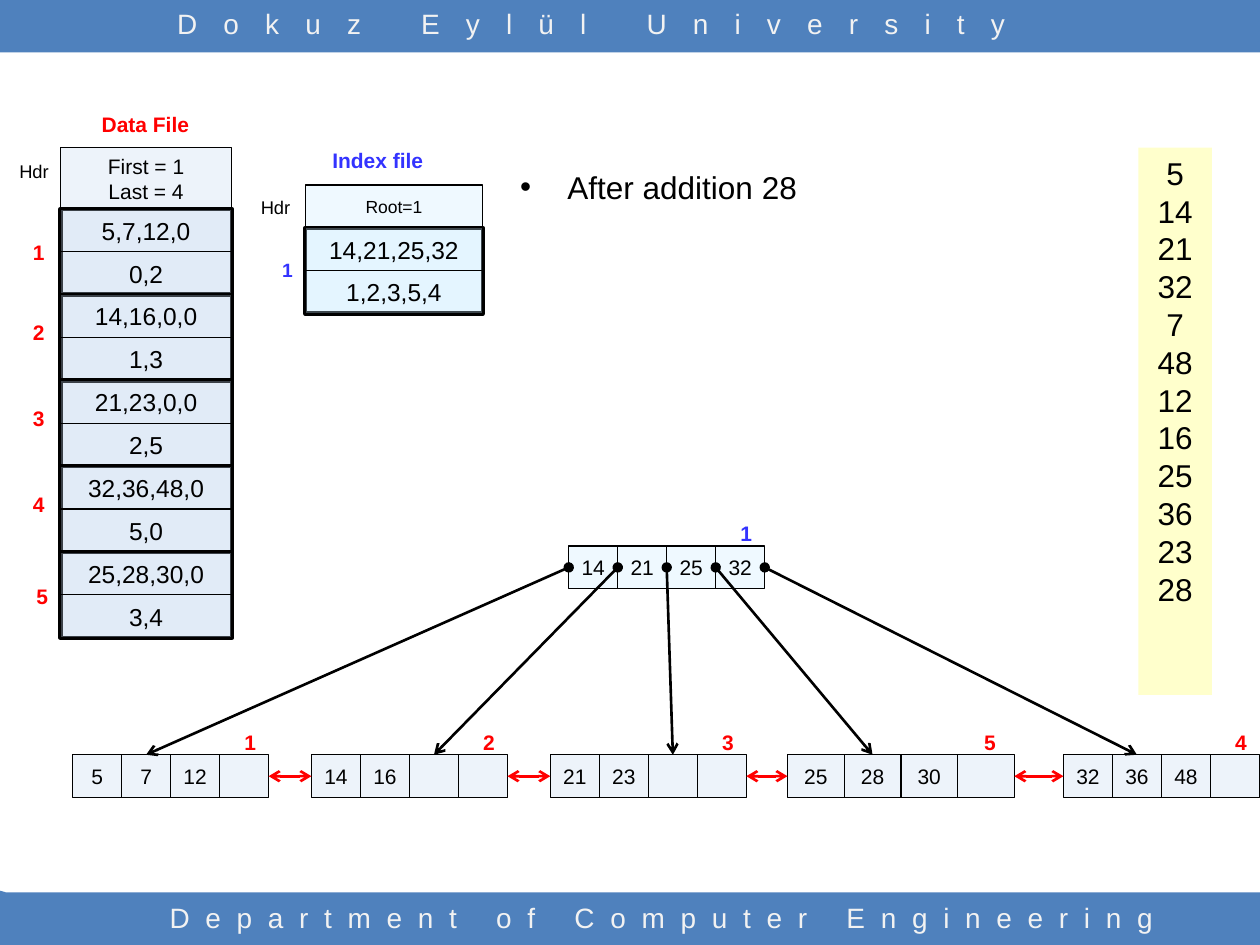
from lxml.etree import SubElement
from pptx import Presentation
from pptx.dml.color import RGBColor
from pptx.enum.shapes import MSO_CONNECTOR, MSO_SHAPE
from pptx.enum.text import MSO_ANCHOR, PP_ALIGN
from pptx.oxml.ns import qn
from pptx.util import Pt

FONT = "Arial"
BAR, DATA, INDEX, INSERTED = "4F81BD", "C6D9F1", "CCECFF", "FFFFCC"
BLACK, RED, BLUE, PALE = "000000", "FF0000", "3333FF", "F2F2F2"
LEFT, CENTER, RIGHT = PP_ALIGN.LEFT, PP_ALIGN.CENTER, PP_ALIGN.RIGHT
SLIDE_W, SLIDE_H = 720, 540
ROW_H = 24.5
DATA_W = 98


def rgb(color):
    return RGBColor.from_string(color)


def write(frame, lines, size, color=BLACK, align=CENTER, bold=False, spacing=0):
    frame.word_wrap = True
    for number, line in enumerate(lines):
        par = frame.add_paragraph() if number else frame.paragraphs[0]
        par.alignment = align
        par.font.name = FONT
        par.font.size = Pt(size)
        par.font.bold = bold
        par.font.color.rgb = rgb(color)
        run = par.add_run()
        run.text = line
        if spacing:
            run._r.get_or_add_rPr().set("spc", str(spacing * 100))


def add_label(slide, box, text, size, color=BLACK, align=LEFT, bold=False, spacing=0):
    label = slide.shapes.add_textbox(*map(Pt, box))
    write(label.text_frame, [text], size, color, align, bold, spacing)


def paint(shape, fill, line_width=0, alpha=100):
    shape.shadow.inherit = False
    shape.fill.solid()
    shape.fill.fore_color.rgb = rgb(fill)
    if alpha < 100:
        tint = shape.fill._xPr.find(qn("a:solidFill"))[0]
        SubElement(tint, qn("a:alpha")).set("val", str(alpha * 1000))
    if line_width:
        shape.line.color.rgb = rgb(BLACK)
        shape.line.width = Pt(line_width)
    else:
        shape.line.fill.background()


def add_box(slide, box, fill, line_width=0, alpha=100):
    rect = slide.shapes.add_shape(MSO_SHAPE.RECTANGLE, *map(Pt, box))
    paint(rect, fill, line_width, alpha)
    return rect


def add_cell(slide, box, lines, fill, size):
    cell = add_box(slide, box, fill, 0.75, 30)
    frame = cell.text_frame
    frame.margin_left = frame.margin_right = 0
    frame.vertical_anchor = MSO_ANCHOR.MIDDLE
    write(frame, lines, size)


def add_arrow(slide, start, end, color, head):
    arrow = slide.shapes.add_connector(MSO_CONNECTOR.STRAIGHT, *map(Pt, start + end))
    arrow.line.color.rgb = rgb(color)
    arrow.line.width = Pt(1.5)
    line = arrow.line._get_or_add_ln()
    SubElement(line, qn("a:headEnd")).set("type", head)
    SubElement(line, qn("a:tailEnd")).set("type", "arrow")
    SubElement(arrow._element.spPr, qn("a:effectLst"))


def add_bars(slide, height):
    """Header and footer bands with their corner pieces and spaced titles."""
    foot = SLIDE_H - height
    for top in (0, foot):
        add_box(slide, (0, top, SLIDE_W, height), BAR)
    corners = [
        [(63.4, 510.5), (66.2, 510.5), (66.2, SLIDE_H), (33.8, SLIDE_H)],
        [(2.9, 509.8), (33.1, SLIDE_H), (0, SLIDE_H), (0, 509)],
    ]
    for first, *others in corners:
        outline = slide.shapes.build_freeform(*map(Pt, first), scale=1.0)
        outline.add_line_segments([tuple(map(Pt, point)) for point in others])
        paint(outline.convert_to_shape(), BAR)
    add_label(slide, (66.2, 511.2, 624.2, 28.8), "Department of Computer Engineering",
              16, PALE, CENTER, spacing=9)
    add_label(slide, (46.8, 0, 582.5, height), "Dokuz Eylül University",
              16, PALE, CENTER, spacing=15)


def add_block(slide, left, top, width, rows, fill):
    """A heavy frame around two rows of a file."""
    add_box(slide, (left, top, width, 2 * ROW_H), fill, 2.5, 30)
    for number, row in enumerate(rows):
        add_cell(slide, (left, top + number * ROW_H, width, ROW_H), [row], fill, 14)


def add_data_file(slide, left, top):
    header_h = 35
    blocks = [  # keys, links, offset of the block number from the block
        ("5,7,12,0", "0,2", -22.8, 13.7),
        ("14,16,0,0", "1,3", -22.8, 10.8),
        ("21,23,0,0", "2,5", -22.8, 10.8),
        ("32,36,48,0", "5,0", -22.8, 10.8),
        ("25,28,30,0", "3,4", -20.8, 14.4),
    ]
    add_label(slide, (left + 16.5, top - 24.5, 72.7, 21.8), "Data File", 12, RED, bold=True)
    add_label(slide, (0, top + 3.5, 38.9, 20), "Hdr", 10.5, align=CENTER)
    add_cell(slide, (left, top, DATA_W, header_h), ["First = 1", "Last = 4"], DATA, 12)
    for number, (keys, links, dx, dy) in enumerate(blocks):
        block_top = top + header_h + number * 2 * ROW_H
        add_block(slide, left, block_top, DATA_W, (keys, links), DATA)
        add_label(slide, (left + dx, block_top + dy, 20, 21.8), str(number + 1),
                  12, RED, bold=True)


def add_index_file(slide, left, top, width):
    add_label(slide, (left + 8.4, top - 25, 77.8, 21.8), "Index file", 12, BLUE, bold=True)
    add_label(slide, (left - 38.2, top + 3, 36.7, 20), "Hdr", 10.5, align=RIGHT)
    add_label(slide, (left - 23.8, top + 38.3, 23.8, 20.7), "1", 11, BLUE, RIGHT, True)
    add_cell(slide, (left, top, width, ROW_H), ["Root=1"], INDEX, 10)
    add_block(slide, left, top + ROW_H, width, ("14,21,25,32", "1,2,3,5,4"), INDEX)


def add_node(slide, left, top, cell_w, keys, tag, fill, tag_color):
    """A tree node of four cells with its block number above the last one."""
    for number in range(4):
        add_cell(slide, (left + number * cell_w, top, cell_w, ROW_H),
                 keys[number:number + 1], fill, 12)
    add_label(slide, (left + 3.25 * cell_w, top - 17.8, 0.75 * cell_w, 21.6), tag,
              12, tag_color, bold=True)


def add_tree(slide, root_left, root_top, leaf_top):
    cell_w = 28
    leaves = [  # left, cell width, keys, tag, cells before the pointer's end
        (41.5, cell_w, ["5", "7", "12"], "1", 1.5),
        (178, cell_w, ["14", "16"], "2", 2.5),
        (314.5, cell_w, ["21", "23"], "3", 2.5),
        (450, 32.4, ["25", "28", "30"], "5", 1.5),
        (607.7, cell_w, ["32", "36", "48"], "4", 1.5),
    ]
    add_node(slide, root_left, root_top, cell_w, ["14", "21", "25", "32"], "1", INDEX, BLUE)
    for left, width, keys, tag, _ in leaves:
        add_node(slide, left, leaf_top, width, keys, tag, DATA, RED)
    for number, (left, width, _, _, cells) in enumerate(leaves):
        add_arrow(slide, (root_left + number * cell_w, root_top + ROW_H / 2),
                  (left + cells * width, leaf_top), BLACK, "oval")
    link_y = leaf_top + ROW_H / 2
    for leaf, following in zip(leaves, leaves[1:]):
        add_arrow(slide, (leaf[0] + 4 * leaf[1], link_y), (following[0], link_y), RED, "arrow")


def add_inserted_keys(slide, box):
    keys = [5, 14, 21, 32, 7, 48, 12, 16, 25, 36, 23, 28]
    column = add_box(slide, box, INSERTED)
    column.text_frame.vertical_anchor = MSO_ANCHOR.TOP
    write(column.text_frame, map(str, keys), 18)


def add_step(slide, box):
    step = slide.shapes.add_textbox(*map(Pt, box)).text_frame
    props = step.paragraphs[0]._p.get_or_add_pPr()
    props.set("marL", str(Pt(27)))
    props.set("indent", str(Pt(-27)))
    SubElement(props, qn("a:buFont")).set("typeface", FONT)
    SubElement(props, qn("a:buChar")).set("char", "•")
    write(step, ["After addition 28"], 18, align=LEFT)


def main():
    deck = Presentation()
    deck.slide_width, deck.slide_height = Pt(SLIDE_W), Pt(SLIDE_H)
    slide = deck.slides.add_slide(deck.slide_layouts[6])
    add_bars(slide, 30)
    add_inserted_keys(slide, (650.5, 84.4, 42, 312.7))
    add_step(slide, (290.2, 92.5, 304.6, 87.8))
    add_data_file(slide, 34.5, 84.4)
    add_index_file(slide, 174.4, 105.7, 101.5)
    add_tree(slide, 325, 312, 431.3)
    deck.save("out.pptx")


if __name__ == "__main__":
    main()
